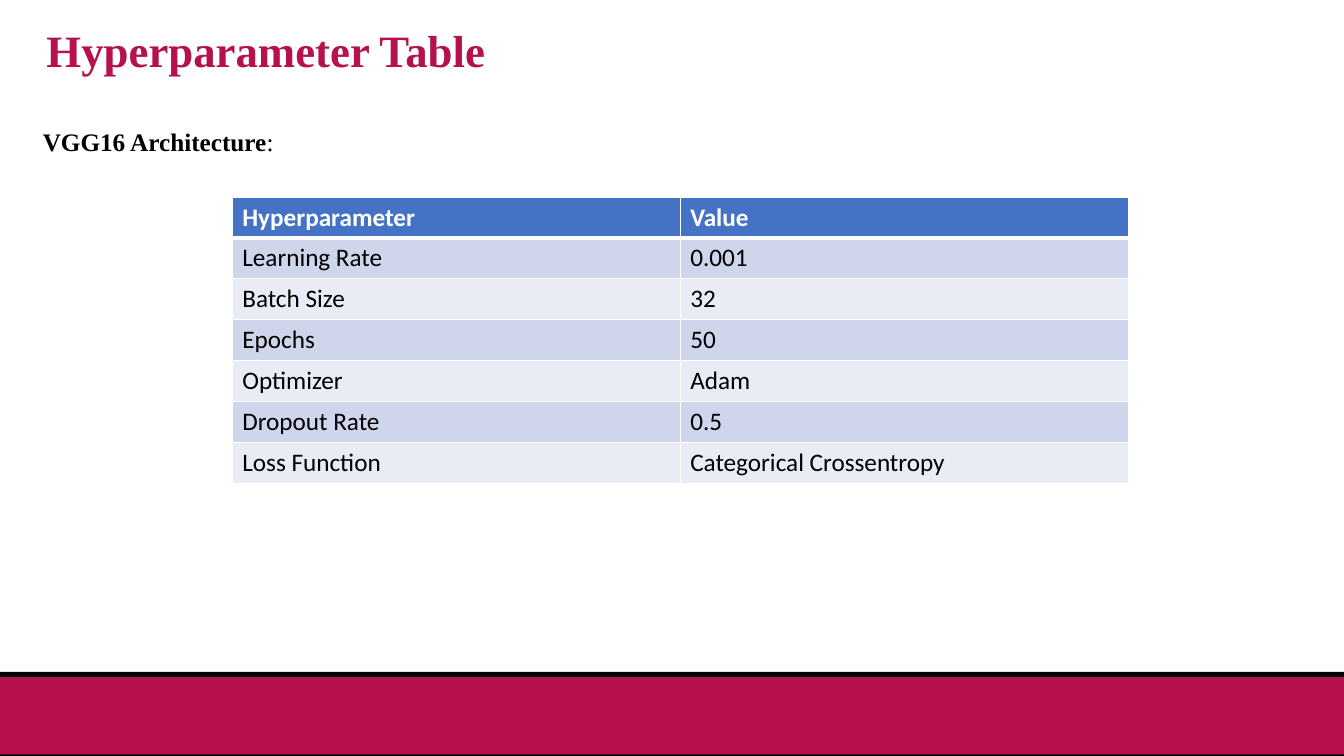
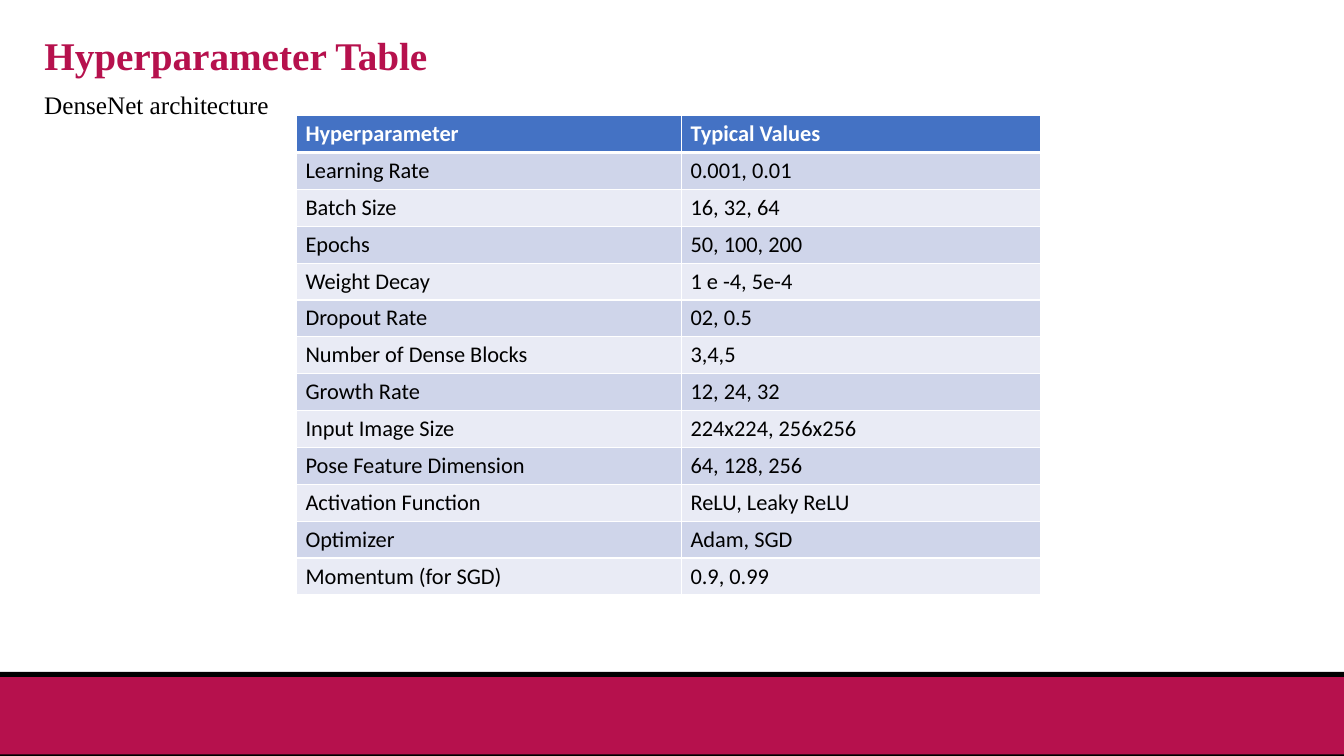
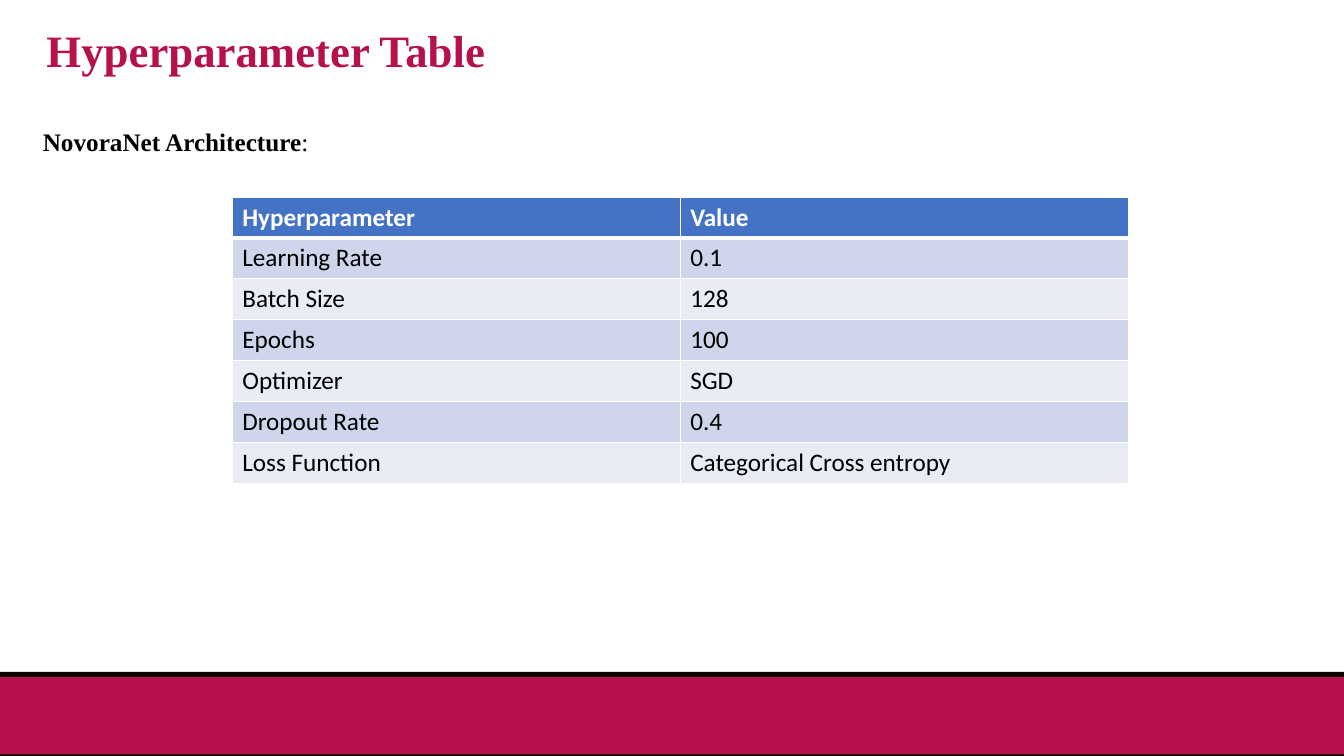
from lxml.etree import SubElement
from pptx import Presentation
from pptx.dml.color import RGBColor
from pptx.enum.shapes import MSO_SHAPE
from pptx.enum.text import MSO_ANCHOR, MSO_AUTO_SIZE, PP_ALIGN
from pptx.oxml.ns import qn
from pptx.util import Pt

BLACK = RGBColor(0x00, 0x00, 0x00)
WHITE = RGBColor(0xFF, 0xFF, 0xFF)
CRIMSON = RGBColor(0xB6, 0x11, 0x4D)
HEADER_BLUE = RGBColor(0x44, 0x72, 0xC4)
DARK_ROW = RGBColor(0xCF, 0xD5, 0xEA)
LIGHT_ROW = RGBColor(0xE9, 0xEB, 0xF5)
SERIF = "Times New Roman"
SANS = "Calibri"
SLIDE_WIDTH, SLIDE_HEIGHT = 960, 540
TITLE = "Hyperparameter Table"

# Top, height and colour of the footer bands
BANDS = [(480, 60, BLACK), (483.6, 55.2, CRIMSON)]

# Boxes are left, top, width, height; insets are horizontal, vertical
WIDE = {
    "title_box": (26, 17.3, 934, 45.4), "title_size": 32,
    "subtitle_box": (23.5, 86.8, 862.6, 72.7), "subtitle_spacing": 1.0,
    "table_at": (165.9, 140.7), "columns": (320, 320), "row_height": 29.2,
    "text_size": 18, "insets": (7.2, 3.6), "align": PP_ALIGN.JUSTIFY,
    "anchor": MSO_ANCHOR.MIDDLE,
}
TALL = {
    "title_box": (24.5, 22.3, 906.5, 40), "title_size": 28,
    "subtitle_box": (24.5, 62.5, 906.5, 30), "subtitle_spacing": 0.9,
    "table_at": (211.7, 82.6), "columns": (275, 256.3), "row_height": 26.35,
    "text_size": 16, "insets": (6.6, 3.3), "align": PP_ALIGN.LEFT,
    "anchor": MSO_ANCHOR.TOP,
}

# Style, subtitle as (text, bold) pieces, table rows
SLIDES = [
    (WIDE, [("VGG16 Architecture", True), (":", False)], [
        ("Hyperparameter", "Value"),
        ("Learning Rate", "0.001"),
        ("Batch Size", "32"),
        ("Epochs", "50"),
        ("Optimizer", "Adam"),
        ("Dropout Rate", "0.5"),
        ("Loss Function", "Categorical Crossentropy"),
    ]),
    (TALL, [("DenseNet architecture", False)], [
        ("Hyperparameter", "Typical Values"),
        ("Learning Rate", "0.001, 0.01"),
        ("Batch Size", "16, 32, 64"),
        ("Epochs", "50, 100, 200"),
        ("Weight Decay", "1 e -4, 5e-4"),
        ("Dropout Rate", "02, 0.5"),
        ("Number of Dense Blocks", "3,4,5"),
        ("Growth Rate", "12, 24, 32"),
        ("Input Image Size", "224x224, 256x256"),
        ("Pose Feature Dimension", "64, 128, 256"),
        ("Activation Function", "ReLU, Leaky ReLU"),
        ("Optimizer", "Adam, SGD"),
        ("Momentum (for SGD)", "0.9, 0.99"),
    ]),
    (WIDE, [("NovoraNet Architecture", True), (":", False)], [
        ("Hyperparameter", "Value"),
        ("Learning Rate", "0.1"),
        ("Batch Size", "128"),
        ("Epochs", "100"),
        ("Optimizer", "SGD"),
        ("Dropout Rate", "0.4"),
        ("Loss Function", "Categorical Cross entropy"),
    ]),
]


def format_font(font, name, size, color, bold):
    font.name = name
    font.size = Pt(size)
    font.color.rgb = color
    font.bold = bold


def add_bands(layout, slide):
    """Draw the footer bands on a slide, then move them to its layout."""
    for placeholder in list(layout.placeholders)[1:]:
        layout.shapes.element.remove(placeholder.element)
    for top, height, color in BANDS:
        band = slide.shapes.add_shape(
            MSO_SHAPE.RECTANGLE, Pt(0), Pt(top), Pt(SLIDE_WIDTH), Pt(height))
        band.shadow.inherit = False
        band.fill.solid()
        band.fill.fore_color.rgb = color
        band.line.fill.background()
        layout.shapes.element.append(band.element)


def set_title(slide, style):
    title = slide.shapes.title
    title.left, title.top, title.width, title.height = map(Pt, style["title_box"])
    frame = title.text_frame
    frame.text = TITLE
    frame.auto_size = MSO_AUTO_SIZE.NONE
    frame.vertical_anchor = MSO_ANCHOR.TOP
    para = frame.paragraphs[0]
    para.alignment = PP_ALIGN.LEFT
    para.line_spacing = 0.9
    format_font(para.runs[0].font, SERIF, style["title_size"], CRIMSON, True)


def add_subtitle(slide, style, pieces):
    box = slide.shapes.add_textbox(*map(Pt, style["subtitle_box"]))
    box.text_frame.word_wrap = True
    para = box.text_frame.paragraphs[0]
    para.alignment = style["align"]
    para.line_spacing = style["subtitle_spacing"]
    for text, bold in pieces:
        span = para.add_run()
        span.text = text
        format_font(span.font, SERIF, 18, BLACK, bold)


def set_borders(cell, top, bottom):
    properties = cell._tc.get_or_add_tcPr()
    for side, width in (("L", 1), ("R", 1), ("T", top), ("B", bottom)):
        line = SubElement(properties, qn(f"a:ln{side}"), w=str(Pt(width)))
        fill = SubElement(line, qn("a:solidFill"))
        SubElement(fill, qn("a:srgbClr"), val=str(WHITE))


def format_cell(cell, row_index, style):
    is_header = row_index == 0
    set_borders(cell, 3 if row_index == 1 else 1, 3 if is_header else 1)
    cell.fill.solid()
    band_color = DARK_ROW if row_index % 2 else LIGHT_ROW
    cell.fill.fore_color.rgb = HEADER_BLUE if is_header else band_color
    horizontal, vertical = map(Pt, style["insets"])
    cell.margin_left = cell.margin_right = horizontal
    cell.margin_top = cell.margin_bottom = vertical
    cell.vertical_anchor = style["anchor"]
    para = cell.text_frame.paragraphs[0]
    para.alignment = style["align"]
    format_font(para.runs[0].font, SANS, style["text_size"],
                WHITE if is_header else BLACK, is_header)


def add_hyperparameters(slide, style, rows):
    columns, row_height = style["columns"], style["row_height"]
    table = slide.shapes.add_table(
        len(rows), len(columns), *map(Pt, style["table_at"]),
        Pt(sum(columns)), Pt(row_height * len(rows))).table
    for column, width in zip(table.columns, columns):
        column.width = Pt(width)
    for row_index, values in enumerate(rows):
        table.rows[row_index].height = Pt(row_height)
        for column_index, value in enumerate(values):
            cell = table.cell(row_index, column_index)
            cell.text = value
            format_cell(cell, row_index, style)


def main():
    deck = Presentation()
    deck.slide_width, deck.slide_height = Pt(SLIDE_WIDTH), Pt(SLIDE_HEIGHT)
    layout = deck.slide_layouts.get_by_name("Title Only")
    for index, (style, subtitle, rows) in enumerate(SLIDES):
        page = deck.slides.add_slide(layout)
        if index == 0:
            add_bands(layout, page)
        set_title(page, style)
        add_subtitle(page, style, subtitle)
        add_hyperparameters(page, style, rows)
    deck.save("out.pptx")


if __name__ == "__main__":
    main()
